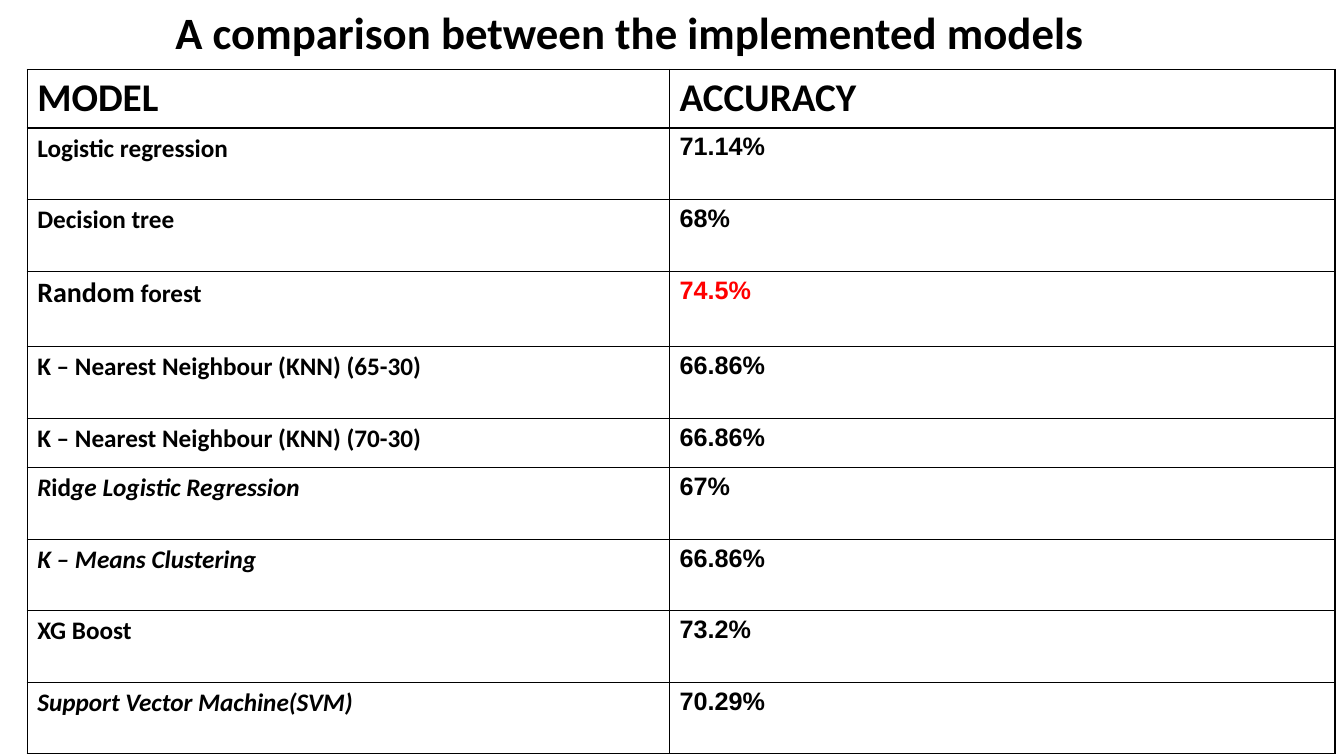
import dataclasses

import pptx
import pptx.dml.color
import pptx.enum.text
import pptx.oxml
import pptx.oxml.ns
import pptx.util

HUES = {"ink": "000000", "best": "FF0000", "paper": "FFFFFF"}
UNIT = pptx.util.Inches(0.1)  # side of one grid square
WIDE, HIGH = 133.3, 75
COLS = (63.7, 66)
HEAD, TALL, BEST, LOW = 5.8, 7.1, 7.5, 4.9


@dataclasses.dataclass(frozen=True)
class Run:
    text: str
    size: float = 18
    font: str = "Calibri"
    hue: str = "ink"
    slant: bool = False


@dataclasses.dataclass(frozen=True)
class Row:
    model: tuple[Run, ...]
    score: Run
    high: float = TALL


def grid(count: float) -> int:
    return round(count * UNIT)


def rate(text: str, hue: str = "ink") -> Run:
    return Run(text, font="Arial", hue=hue)


ROWS = (
    Row((Run("MODEL", 28),), Run("ACCURACY", 28), HEAD),
    Row((Run("Logistic regression"),), rate("71.14%")),
    Row((Run("Decision tree"),), rate("68%")),
    Row((Run("Random", 20), Run(" forest")), rate("74.5%", "best"), BEST),
    Row((Run("K – Nearest Neighbour (KNN) (65-30)"),), rate("66.86%")),
    Row((Run("K – Nearest Neighbour (KNN) (70-30)"),), rate("66.86%"), LOW),
    Row((Run("R", slant=True), Run("id"),
         Run("ge Logistic Regression", slant=True)), rate("67%")),
    Row((Run("K – Means Clustering", slant=True),), rate("66.86%")),
    Row((Run("XG Boost"),), rate("73.2%")),
    Row((Run("Support Vector Machine(SVM)", slant=True),), rate("70.29%")),
)


def paint(hue: str) -> pptx.dml.color.RGBColor:
    return pptx.dml.color.RGBColor.from_string(HUES[hue])


def write(frame, runs: tuple[Run, ...]) -> None:
    line = frame.paragraphs[0]
    line.alignment = pptx.enum.text.PP_ALIGN.LEFT
    for item in runs:
        run = line.add_run()
        run.text = item.text
        font = run.font
        font.name, font.size = item.font, pptx.util.Pt(item.size)
        font.bold, font.italic = True, item.slant
        font.color.rgb = paint(item.hue)


def frame_cell(cell) -> None:
    """Fill the cell and rule its four sides."""
    props = cell._tc.get_or_add_tcPr()
    for side in ("lnL", "lnR", "lnT", "lnB"):
        props.append(pptx.oxml.parse_xml(
            f'<a:{side} {pptx.oxml.ns.nsdecls("a")} w="{pptx.util.Pt(1)}">'
            f'<a:solidFill><a:srgbClr val="{HUES["ink"]}"/></a:solidFill>'
            f'</a:{side}>'))
    cell.fill.solid()
    cell.fill.fore_color.rgb = paint("paper")


def add_title(slide) -> None:
    title = slide.shapes.title
    title.left, title.top = grid(16.4), 0
    title.width, title.height = grid(WIDE - 16.4), grid(9.4)
    frame = title.text_frame
    frame.word_wrap = True
    frame.auto_size = pptx.enum.text.MSO_AUTO_SIZE.SHAPE_TO_FIT_TEXT
    frame.vertical_anchor = pptx.enum.text.MSO_ANCHOR.TOP
    frame.paragraphs[0].line_spacing = 1.0
    write(frame, (Run("A comparison between the implemented models", 32),))


def add_scores(slide) -> None:
    table = slide.shapes.add_table(
        len(ROWS), len(COLS), grid(2.7), grid(6.9),
        grid(sum(COLS)), grid(sum(row.high for row in ROWS))).table
    table.first_row = table.horz_banding = False
    for col, wide in zip(table.columns, COLS):
        col.width = grid(wide)
    for line, row in zip(table.rows, ROWS):
        line.height = grid(row.high)
        for cell, runs in zip(line.cells, (row.model, (row.score,))):
            frame_cell(cell)
            write(cell.text_frame, runs)


def main() -> None:
    deck = pptx.Presentation()
    deck.slide_width, deck.slide_height = grid(WIDE), grid(HIGH)
    slide = deck.slides.add_slide(deck.slide_layouts.get_by_name("Title Only"))
    add_title(slide)
    add_scores(slide)
    deck.save("out.pptx")


if __name__ == "__main__":
    main()
